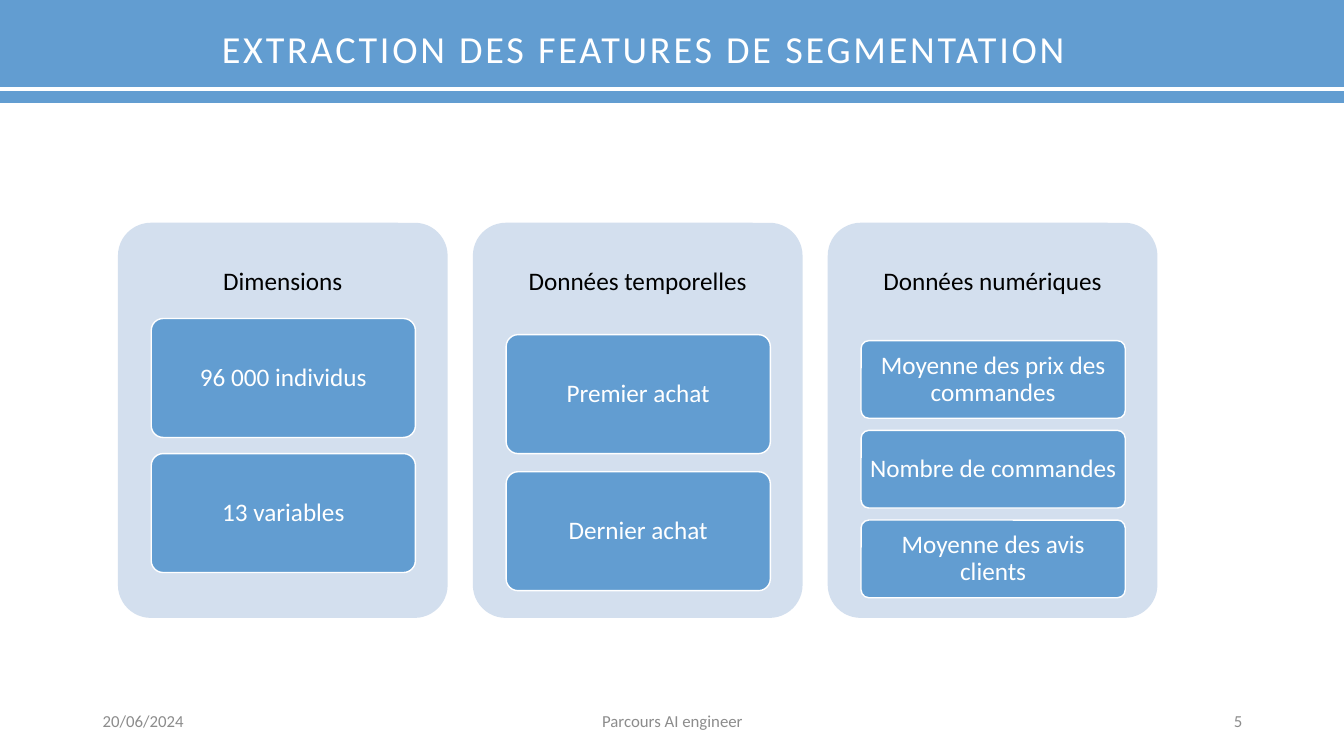
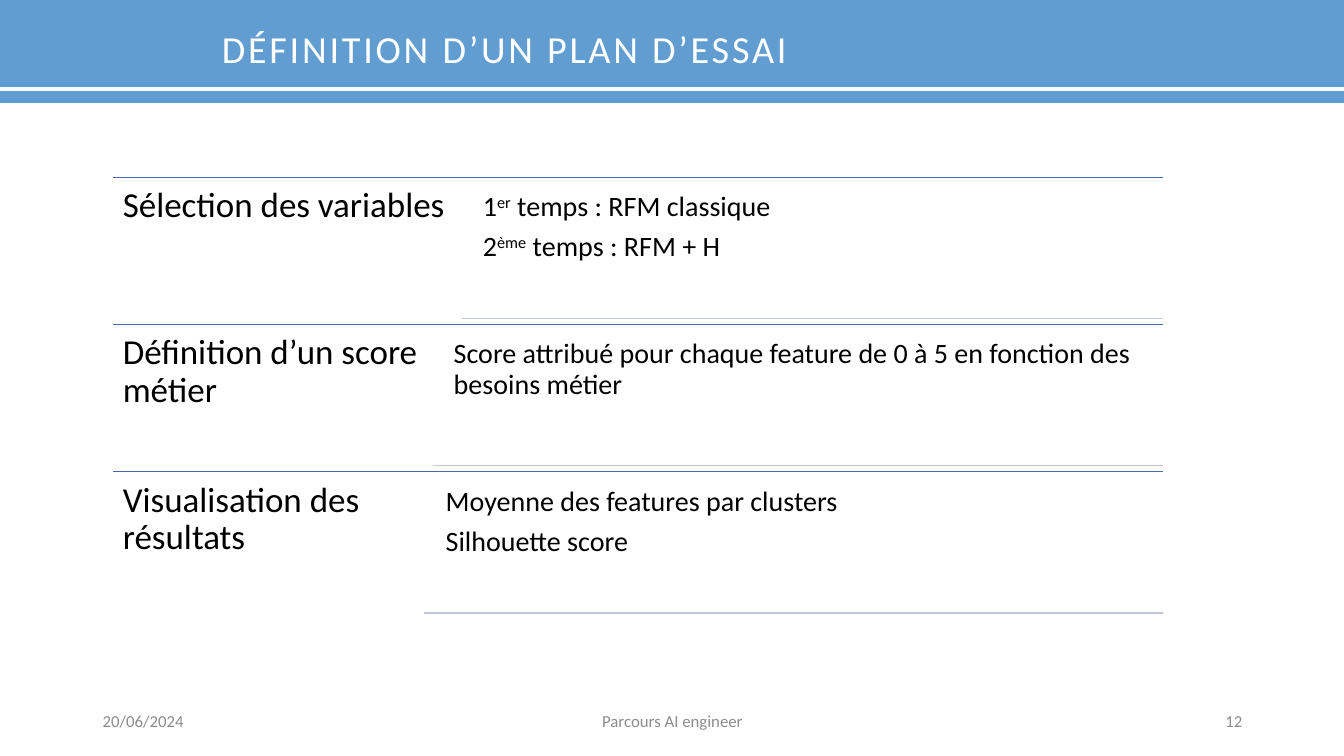
from lxml import etree
from pptx import Presentation
from pptx.dml.color import RGBColor
from pptx.enum.shapes import MSO_CONNECTOR, MSO_SHAPE
from pptx.enum.text import MSO_ANCHOR, MSO_AUTO_SIZE, PP_ALIGN
from pptx.oxml.ns import qn
from pptx.util import Inches, Pt

LEFT, CENTER, RIGHT = PP_ALIGN.LEFT, PP_ALIGN.CENTER, PP_ALIGN.RIGHT
TOP, MIDDLE = MSO_ANCHOR.TOP, MSO_ANCHOR.MIDDLE
ROUNDED = MSO_SHAPE.ROUNDED_RECTANGLE
STRAIGHT = MSO_CONNECTOR.STRAIGHT

# Shared style
FONT = "Calibri"
BLUE, PALE_BLUE = "629DD1", "D3DFEE"
RULE, PALE_RULE = "4A66AC", "C1C6DB"
BLACK, WHITE, GREY = "000000", "FFFFFF", "8C8C8C"
SLIDE_WIDTH, SLIDE_HEIGHT = 13.33, 7.5
TITLE_ONLY = 5
DATE, COURSE = "20/06/2024", "Parcours AI engineer"

# Slide 5: heading, top of first card, card height, gap, cards
PANELS = [
    ("Dimensions", 3.16, 1.18, 0.16, ["96 000 individus", "13 variables"]),
    ("Données temporelles", 3.32, 1.18, 0.18, ["Premier achat", "Dernier achat"]),
    ("Données numériques", 3.38, 0.77, 0.12,
     ["Moyenne des prix des commandes", "Nombre de commandes", "Moyenne des avis clients"]),
]

# Slide 12: topic, width of topic, details (text between ^ marks is superscript)
STEPS = [
    ("Sélection des variables", 3.46,
     ["1^er^ temps : RFM classique", "2^ème^ temps : RFM + H"]),
    ("Définition d’un score métier", 3.17,
     ["Score attribué pour chaque feature de 0 à 5 en fonction des besoins métier"]),
    ("Visualisation des résultats", 3.09,
     ["Moyenne des features par clusters", "Silhouette score"]),
]


def color(hex_code):
    return RGBColor.from_string(hex_code)


def fill(shape, hex_code):
    shape.fill.solid()
    shape.fill.fore_color.rgb = color(hex_code)


def write(shape, lines, size, text_color, align=LEFT, anchor=MIDDLE,
          insets=(0.1, 0.05, 0.1, 0.05), spacing=0.9, after=0):
    """Put one paragraph per line into the shape."""
    frame = shape.text_frame
    frame.word_wrap = True
    frame.auto_size = MSO_AUTO_SIZE.NONE
    frame.vertical_anchor = anchor
    (frame.margin_left, frame.margin_top,
     frame.margin_right, frame.margin_bottom) = map(Inches, insets)
    for number, line in enumerate(lines):
        paragraph = frame.add_paragraph() if number else frame.paragraphs[0]
        paragraph.alignment = align
        paragraph.line_spacing = spacing
        paragraph.space_after = Pt(after)
        for position, part in enumerate(line.split("^")):
            run = paragraph.add_run()
            run.text = part
            run.font.name = FONT
            run.font.size = Pt(size)
            run.font.color.rgb = color(text_color)
            if position % 2:
                run.font._element.set("baseline", "30000")


def add_text(slide, left, top, width, height, lines, size, text_color, **options):
    box = slide.shapes.add_textbox(*map(Inches, (left, top, width, height)))
    write(box, lines, size, text_color, **options)


def add_rounded(slide, left, top, width, height, fill_color, outline=None):
    shape = slide.shapes.add_shape(ROUNDED, *map(Inches, (left, top, width, height)))
    shape.shadow.inherit = False
    shape.adjustments[0] = 0.1
    fill(shape, fill_color)
    if outline:
        shape.line.color.rgb = color(outline)
        shape.line.width = Pt(1)
    else:
        shape.line.fill.background()
    return shape


def add_rule(slide, left, right, y, line_color, width=1):
    rule = slide.shapes.add_connector(STRAIGHT, *map(Inches, (left, y, right, y)))
    rule.line.color.rgb = color(line_color)
    rule.line.width = Pt(width)
    etree.SubElement(rule._element.spPr, qn("a:effectLst"))


def add_slide(deck, heading, number):
    """Slide with title band and footer."""
    slide = deck.slides.add_slide(deck.slide_layouts[TITLE_ONLY])
    title = slide.shapes.title
    title.left, title.top = Inches(0), Inches(0)
    title.width, title.height = Inches(SLIDE_WIDTH), Inches(1.02)
    fill(title, BLUE)
    write(title, [heading], 27.3, WHITE, insets=(2.2, 0.2, 0.2, 0.2))
    title.text_frame.paragraphs[0].runs[0].font._element.set("spc", "200")
    add_rule(slide, 0, SLIDE_WIDTH, 0.88, WHITE, 3)

    footer = [(0.92, 3, DATE, LEFT), (4.42, 4.5, COURSE, CENTER),
              (9.42, 3, str(number), RIGHT)]
    for left, width, text, align in footer:
        add_text(slide, left, 6.95, width, 0.4, [text], 12, GREY,
                 align=align, spacing=1.0)
    return slide


def add_panel(slide, left, heading, card_top, card_height, gap, cards):
    panel = add_rounded(slide, left, 2.21, 3.27, 3.92, PALE_BLUE)
    write(panel, [heading], 18, BLACK, align=CENTER, anchor=TOP,
          insets=(0.07, 0.36, 0.07, 0.07))
    for index, label in enumerate(cards):
        top = card_top + index * (card_height + gap)
        card = add_rounded(slide, left + 0.33, top, 2.62, card_height, BLUE, WHITE)
        write(card, [label], 18, WHITE, align=CENTER, insets=(0.05, 0.04, 0.05, 0.04))


def add_step(slide, top, topic, topic_width, details):
    left, right = 1.12, 11.53
    split = left + topic_width
    detail_left = split + 0.13
    add_rule(slide, left, right, top, RULE)
    add_text(slide, left, top, topic_width, 1.46, [topic], 25, BLACK,
             anchor=TOP, insets=(0.1,) * 4)
    add_text(slide, detail_left, top + 0.07, right - detail_left, 1.33, details, 20,
             BLACK, anchor=TOP, insets=(0.08,) * 4, after=7)
    add_rule(slide, split, right, top + 1.4, PALE_RULE)


def main():
    deck = Presentation()
    deck.slide_width, deck.slide_height = Inches(SLIDE_WIDTH), Inches(SLIDE_HEIGHT)

    # Segmentation features
    features = add_slide(deck, "EXTRACTION DES FEATURES DE SEGMENTATION", 5)
    for index, panel in enumerate(PANELS):
        add_panel(features, 1.17 + index * 3.52, *panel)

    # Test plan
    plan = add_slide(deck, "DÉFINITION D’UN PLAN D’ESSAI", 12)
    for index, step in enumerate(STEPS):
        add_step(plan, 1.76 + index * 1.46, *step)

    deck.save("out.pptx")


if __name__ == "__main__":
    main()
